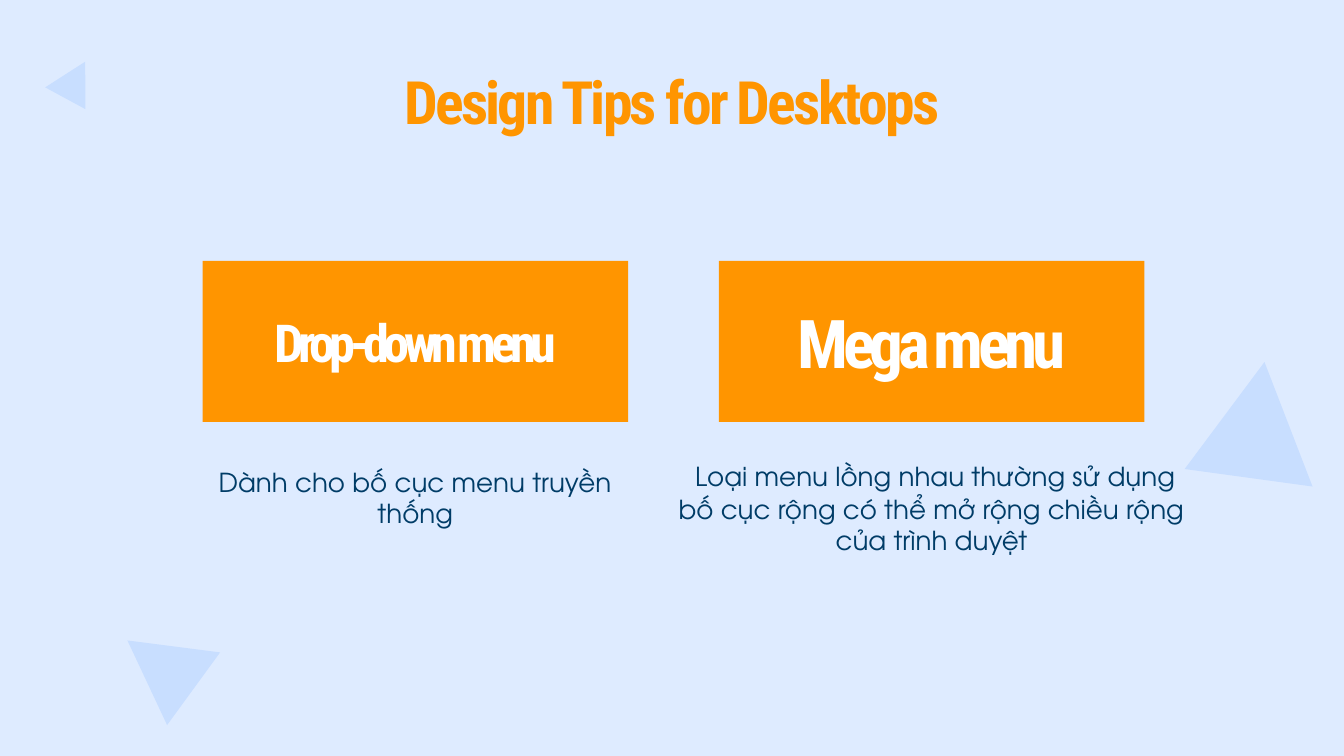
from pptx import Presentation
from pptx.dml.color import RGBColor
from pptx.enum.shapes import MSO_SHAPE
from pptx.enum.text import MSO_ANCHOR, PP_ALIGN
from pptx.util import Pt

SKY = RGBColor(0xDE, 0xEB, 0xFF)
PALE_BLUE = RGBColor(0xC8, 0xDE, 0xFF)
ORANGE = RGBColor(0xFF, 0x95, 0x00)
NAVY = RGBColor(0x00, 0x3C, 0x67)
WHITE = RGBColor(0xFF, 0xFF, 0xFF)
BLACK = RGBColor(0x00, 0x00, 0x00)

HEADING = {"name": "Roboto Condensed", "bold": True}
BODY = {"name": "TeX Gyre Adventor", "size": Pt(14)}
LEAD = {"name": "Calibri", "size": Pt(18)}
FRAME = {
    "word_wrap": True,
    "margin_left": Pt(7.2),
    "margin_right": Pt(7.2),
    "margin_top": Pt(7.2),
    "margin_bottom": Pt(7.2),
}


def set_all(target, values):
    """Set every attribute in values on target."""
    for name, value in values.items():
        setattr(target, name, value)


def add_run(p, text, font, color, spacing=0):
    """Append a run with its font, colour and letter spacing in points."""
    r = p.add_run()
    r.text = text
    set_all(r.font, font)
    r.font.color.rgb = color
    if spacing:
        r._r.get_or_add_rPr().set("spc", str(int(spacing * 100)))


def centred_paragraph(sp, anchor=MSO_ANCHOR.TOP):
    """Prepare the text frame of a shape and return its centred paragraph."""
    tf = sp.text_frame
    set_all(tf, {**FRAME, "vertical_anchor": anchor})
    p = tf.paragraphs[0]
    p.alignment = PP_ALIGN.CENTER
    return p


def add_block(s, preset, box, fill):
    """Add a flat filled shape without outline or shadow."""
    sp = s.shapes.add_shape(preset, *map(Pt, box))
    sp.shadow.inherit = False
    sp.fill.solid()
    sp.fill.fore_color.rgb = fill
    sp.line.fill.background()
    return sp


def add_backdrop(s):
    """Colour the background and scatter the triangles."""
    s.background.fill.solid()
    s.background.fill.fore_color.rgb = SKY
    for x, y, w, h, angle in (
        (61.9, 334.1, 48.2, 43.9, 306.1),
        (28.1, 31.7, 24.5, 22.3, 28.5),
        (638.6, 193.7, 69.1, 62.6, 7.8),
    ):
        triangle = add_block(s, MSO_SHAPE.ISOSCELES_TRIANGLE, (x, y, w, h), PALE_BLUE)
        triangle.rotation = angle


def add_title(s, box, text):
    """Place the slide title in its box."""
    p = centred_paragraph(s.shapes.add_textbox(*map(Pt, box)))
    p.space_after = Pt(12)
    add_run(p, text, {**HEADING, "size": Pt(32)}, ORANGE, -1.5)


def add_menu_card(s, box, label, size, note, note_size, gap, lead=""):
    """Place a labelled card in its box with a note centred below it."""
    x, y, w, h = box
    card = add_block(s, MSO_SHAPE.RECTANGLE, box, ORANGE)
    p = centred_paragraph(card, MSO_ANCHOR.MIDDLE)
    add_run(p, label, {**HEADING, "size": Pt(size)}, WHITE, -3)

    note_w, note_h = note_size
    note_box = (x + (w - note_w) / 2, y + h + gap, note_w, note_h)
    p = centred_paragraph(s.shapes.add_textbox(*map(Pt, note_box)))
    if lead:
        add_run(p, lead, LEAD, BLACK)
    add_run(p, note, BODY, NAVY)


def main():
    """Build and save the slide."""
    prs = Presentation()
    set_all(prs, {"slide_width": Pt(720), "slide_height": Pt(405)})
    s = prs.slides.add_slide(prs.slide_layouts[6])
    add_backdrop(s)
    add_title(s, (56.2, 27.4, 607.6, 45.4), "Design Tips for Desktops")

    cards = (
        ("Drop-down menu", 28, "Dành cho bố cục menu truyền thống", (244.8, 32.4), 16.6),
        ("Mega menu", 36, "Loại menu lồng nhau thường sử dụng bố cục rộng "
         "có thể mở rộng chiều rộng của trình duyệt", (288, 103), 9.4, "\u00a0"),
    )
    for i, card in enumerate(cards):
        add_menu_card(s, (108.5 + 276.6 * i, 139.8, 228, 86.2), *card)
    prs.save("out.pptx")


main()
